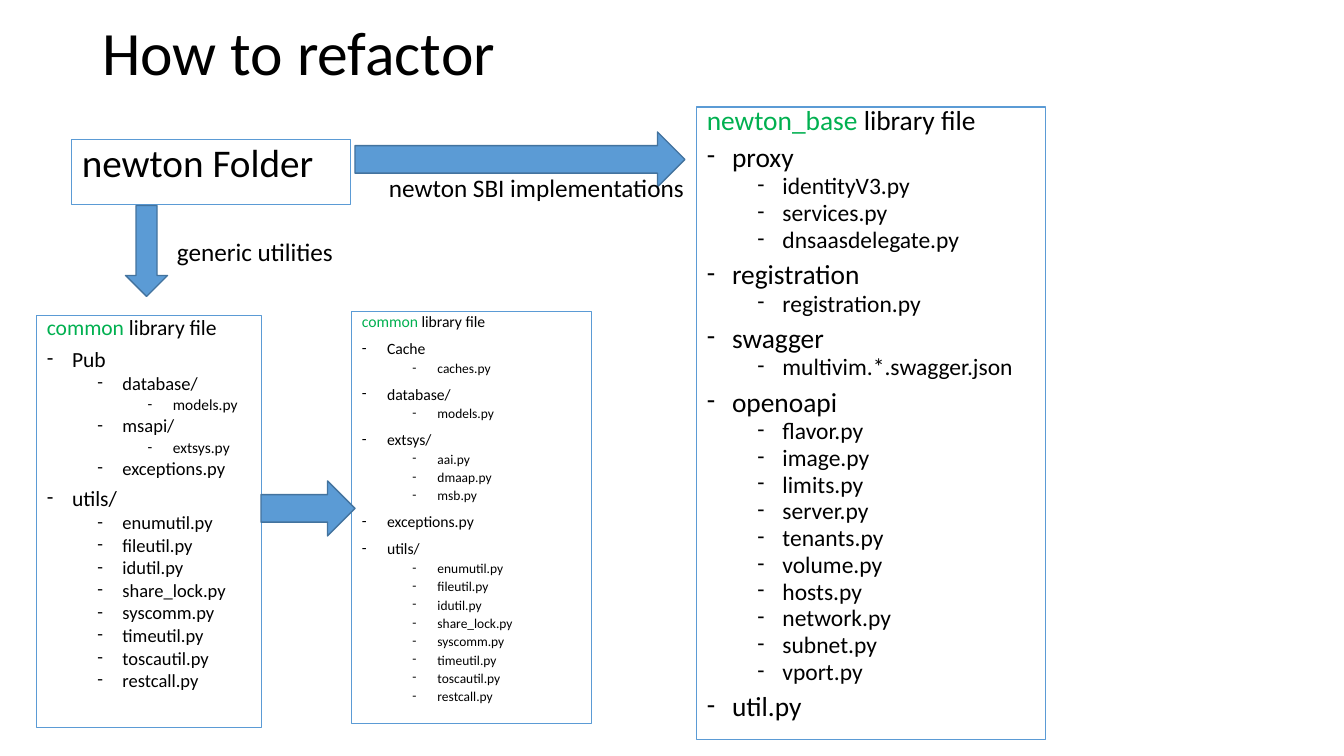
from lxml import etree
from pptx import Presentation
from pptx import util as u
from pptx.dml import color
from pptx.enum import shapes, text
from pptx.oxml import ns

PIXEL = 914400 / 100.8
COLORS = {"text": "000000", "library": "00B050", "blue": "5B9BD5", "arrow_edge": "43739E"}


def px(*lengths):
    return [u.Emu(round(length * PIXEL)) for length in lengths]


def write(para, words, size, tone="text", **formats):
    span = para.add_run()
    span.text = words
    span.font.name = "Calibri"
    span.font.size = u.Pt(size)
    span.font.color.rgb = color.RGBColor.from_string(COLORS[tone])
    for name, value in {"alignment": text.PP_ALIGN.LEFT, **formats}.items():
        setattr(para, name, value)


deck = Presentation()
deck.slide_width, deck.slide_height = px(1344, 756)
page = deck.slides.add_slide(deck.slide_layouts[5])

title = page.shapes.title
title.left, title.top, title.width, title.height = px(92, 0, 1159, 112)
title.text_frame.vertical_anchor = text.MSO_ANCHOR.MIDDLE
write(title.text_frame.paragraphs[0], "How to refactor", 44, line_spacing=0.9)

utilities = ["enumutil.py", "fileutil.py", "idutil.py", "share_lock.py",
             "syscomm.py", "timeutil.py", "toscautil.py", "restcall.py"]
old_common = [
    (0, ["Pub"]), (1, ["database/"]), (2, ["models.py"]), (1, ["msapi/"]),
    (2, ["extsys.py"]), (1, ["exceptions.py"]), (0, ["utils/"]), (1, utilities),
]
newton_base = [
    (0, ["proxy"]), (1, ["identityV3.py", "services.py", "dnsaasdelegate.py"]),
    (0, ["registration"]), (1, ["registration.py"]),
    (0, ["swagger"]), (1, ["multivim.*.swagger.json"]),
    (0, ["openoapi"]),
    (1, ["flavor.py", "image.py", "limits.py", "server.py", "tenants.py",
         "volume.py", "hosts.py", "network.py", "subnet.py", "vport.py"]),
    (0, ["util.py"]),
]
new_common = [
    (0, ["Cache"]), (1, ["caches.py"]), (0, ["database/"]), (1, ["models.py"]),
    (0, ["extsys/"]), (1, ["aai.py", "dmaap.py", "msb.py"]),
    (0, ["exceptions.py", "utils/"]), (1, utilities),
]

libraries = [
    ((37, 316, 225, 412), "common ", old_common, (15.4, 13.2, 11)),
    ((697, 107, 349, 633), "newton_base ", newton_base, (19.6, 16.8)),
    ((352, 312, 240, 412), "common ", new_common, (11.2, 9.6)),
]
folder_place = (72, 139, 279, 66)
frames = []
for place in [library[0] for library in libraries] + [folder_place]:
    box = page.shapes.add_shape(shapes.MSO_SHAPE.RECTANGLE, *px(*place))
    box.shadow.inherit = False
    box.fill.background()
    box.line.color.rgb = color.RGBColor.from_string(COLORS["blue"])
    box.line.width = u.Pt(0.75)
    box.text_frame.word_wrap = True
    box.text_frame.vertical_anchor = text.MSO_ANCHOR.TOP
    frames.append(box.text_frame)

for frame, (place, name, outline, sizes) in zip(frames, libraries):
    heading = frame.paragraphs[0]
    write(heading, name, sizes[0], "library")
    write(heading, "library file", sizes[0], line_spacing=0.7, space_before=u.Pt(10))
    for level, entries in outline:
        for entry in entries:
            para = frame.add_paragraph()
            write(para, entry, sizes[level], level=level, line_spacing=0.7,
                  space_before=u.Pt(5 if level else 10))
            properties = para._p.get_or_add_pPr()
            properties.set("marL", str(u.Inches(0.25 + 0.5 * level)))
            properties.set("indent", str(u.Inches(-0.25)))
            etree.SubElement(properties, ns.qn("a:buFont")).set("typeface", "Calibri")
            etree.SubElement(properties, ns.qn("a:buChar")).set("char", "-")

write(frames[-1].paragraphs[0], "newton Folder", 28, line_spacing=0.9, space_before=u.Pt(10))

for place, rotation in [
    ((101, 230, 91, 42), 90),
    ((355, 132, 330, 55), 0),
    ((261, 481, 94, 55), 0),
]:
    arrow = page.shapes.add_shape(shapes.MSO_SHAPE.RIGHT_ARROW, *px(*place))
    arrow.rotation = rotation
    arrow.shadow.inherit = False
    arrow.fill.solid()
    arrow.fill.fore_color.rgb = color.RGBColor.from_string(COLORS["blue"])
    arrow.line.color.rgb = color.RGBColor.from_string(COLORS["arrow_edge"])
    arrow.line.width = u.Pt(1)

for place, words in [
    ((167, 231, 183, 40), "generic utilities"),
    ((379, 167, 331, 40), "newton SBI implementations"),
]:
    label = page.shapes.add_textbox(*px(*place)).text_frame
    label.word_wrap = True
    label.auto_size = text.MSO_AUTO_SIZE.SHAPE_TO_FIT_TEXT
    write(label.paragraphs[0], words, 18)

deck.save("out.pptx")
